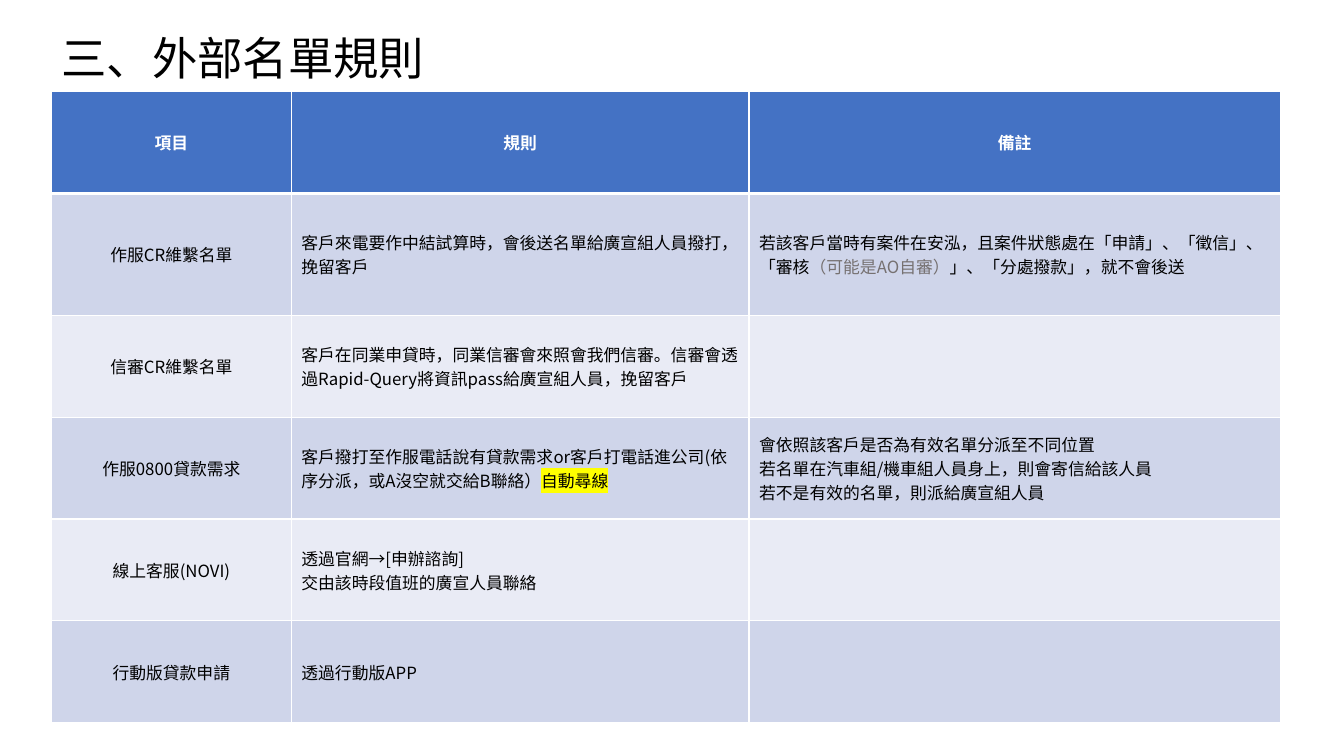
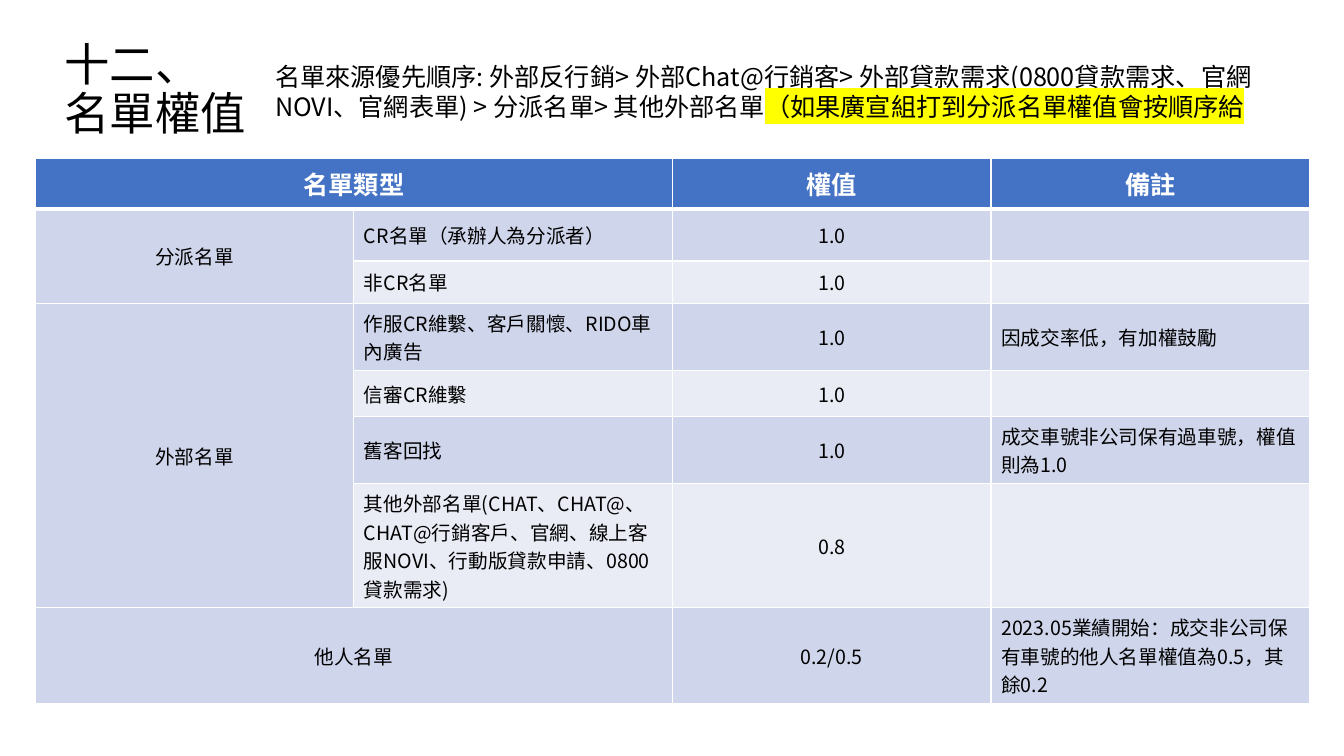
from lxml import etree
from pptx import Presentation
from pptx.dml.color import RGBColor
from pptx.enum.text import MSO_ANCHOR, PP_ALIGN
from pptx.oxml.ns import qn
from pptx.util import Inches, Pt

MIDDLE, TOP = MSO_ANCHOR.MIDDLE, MSO_ANCHOR.TOP
CENTER, LEFT = PP_ALIGN.CENTER, PP_ALIGN.LEFT

SANS, SANS_TC = "Noto Sans CJK SC", "Noto Sans CJK TC"
BLACK, WHITE, GREY, YELLOW = "000000", "FFFFFF", "767171", "FFFF00"
HEAD, BANDS = "4472C4", ("E9EBF5", "CFD5EA")
MARK = {"mark": YELLOW}
SOFT = {"color": GREY}

RULES = [
    ["項目", "規則", "備註"],
    ["作服CR維繫名單",
     "客戶來電要作中結試算時，會後送名單給廣宣組人員撥打，挽留客戶",
     [("若該客戶當時有案件在安泓，且案件狀態處在「申請」、「徵信」、「審核", {}),
      ("（可能是AO自審）", SOFT),
      ("」、「分處撥款」，就不會後送", {})]],
    ["信審CR維繫名單",
     "客戶在同業申貸時，同業信審會來照會我們信審。信審會透過Rapid-Query將資訊pass給廣宣組人員，挽留客戶",
     ""],
    ["作服0800貸款需求",
     [("客戶撥打至作服電話說有貸款需求or客戶打電話進公司(依序分派，或A沒空就交給B聯絡）", {}),
      ("自動尋線", MARK)],
     "會依照該客戶是否為有效名單分派至不同位置\n"
     "若名單在汽車組/機車組人員身上，則會寄信給該人員\n"
     "若不是有效的名單，則派給廣宣組人員"],
    ["線上客服(NOVI)", "透過官網→[申辦諮詢]\n交由該時段值班的廣宣人員聯絡", ""],
    ["行動版貸款申請", "透過行動版APP", ""],
]

WEIGHTS = [
    ["名單類型", "", "權值", "備註"],
    ["分派名單", "CR名單（承辦人為分派者）", "1.0", ""],
    ["", "非CR名單", "1.0", ""],
    ["外部名單", "作服CR維繫、客戶關懷、RIDO車內廣告", "1.0", "因成交率低，有加權鼓勵"],
    ["", "信審CR維繫", "1.0", ""],
    ["", "舊客回找", "1.0", "成交車號非公司保有過車號，權值則為1.0"],
    ["", "其他外部名單(CHAT、CHAT@、CHAT@行銷客戶、官網、線上客服NOVI、行動版貸款申請、0800貸款需求)",
     "0.8", ""],
    ["他人名單", "", "0.2/0.5", "2023.05業績開始：成交非公司保有車號的他人名單權值為0.5，其餘0.2"],
]
# first row, first column, last row, last column
SPANS = [(0, 0, 0, 1), (1, 0, 2, 0), (3, 0, 6, 0), (7, 0, 7, 1)]

ORDER = [
    ("名單來源優先順序: 外部反行銷> 外部Chat@行銷客> 外部貸款需求(0800貸款需求、官網NOVI、官網表單) > 分派名單> 其他外部名單", {}),
    ("（如果廣宣組打到分派名單權值會按順序給", MARK),
]


def rgb(code):
    return RGBColor.from_string(code)


def add_run(para, text, size, color=BLACK, bold=False, mark=None, face=SANS):
    run = para.add_run()
    run.text = text
    font = run.font
    font.size, font.bold, font.name = Pt(size), bold, face
    font.color.rgb = rgb(color)
    props = font._element
    latin = props.find(qn("a:latin"))
    east = etree.Element(qn("a:ea"), typeface=face)
    latin.addnext(east)
    if mark:
        light = etree.Element(qn("a:highlight"))
        etree.SubElement(light, qn("a:srgbClr"), val=mark)
        latin.addprevious(light)


def write(frame, text, align=LEFT, space=None, **style):
    """Fill a frame from a string or (text, style) runs; newlines start paragraphs."""
    runs = [(text, {})] if isinstance(text, str) else text
    para = frame.paragraphs[0]
    para.alignment, para.line_spacing = align, space
    for words, extra in runs:
        for num, part in enumerate(words.split("\n")):
            if num:
                para = frame.add_paragraph()
                para.alignment, para.line_spacing = align, space
            add_run(para, part, **{**style, **extra})


def add_text(slide, box, text, anchor=TOP, **style):
    frame = slide.shapes.add_textbox(*map(Inches, box)).text_frame
    frame.word_wrap = True
    frame.vertical_anchor = anchor
    write(frame, text, **style)


def add_title(slide, box, text):
    add_text(slide, box, text, anchor=MIDDLE, size=32.4, space=0.9)


def set_edges(cell, row):
    props = cell._tc.get_or_add_tcPr()
    wide = {0: "B", 1: "T"}.get(row)
    for side in "LRTB":
        width = Pt(3 if side == wide else 1)
        line = etree.SubElement(props, qn("a:ln" + side), w=str(width))
        fill = etree.SubElement(line, qn("a:solidFill"))
        etree.SubElement(fill, qn("a:srgbClr"), val=WHITE)


def add_grid(slide, spot, cols, rows, data, mids, sizes, spans=()):
    """mids: centred columns; sizes: head and body text size."""
    box = (*spot, sum(cols), sum(rows))
    table = slide.shapes.add_table(len(rows), len(cols), *map(Inches, box)).table
    table.first_row = table.horz_banding = False
    for col, width in zip(table.columns, cols):
        col.width = Inches(width)
    for row, height in zip(table.rows, rows):
        row.height = Inches(height)
    merged = {(top, left) for top, left, _, _ in spans}
    for r, line in enumerate(data):
        top = r == 0
        for c, text in enumerate(line):
            cell = table.cell(r, c)
            set_edges(cell, r)
            cell.fill.solid()
            cell.fill.fore_color.rgb = rgb(HEAD if top else BANDS[r % 2])
            cell.vertical_anchor = MIDDLE
            mid = top or c in mids or (r, c) in merged
            write(cell.text_frame, text, CENTER if mid else LEFT,
                  size=sizes[0 if top else 1], bold=top,
                  color=WHITE if top else BLACK)
    for r1, c1, r2, c2 in spans:
        table.cell(r1, c1).merge(table.cell(r2, c2))


def main():
    deck = Presentation()
    deck.slide_width, deck.slide_height = Inches(13.33), Inches(7.5)
    blank = deck.slide_layouts[6]

    slide = deck.slides.add_slide(blank)
    add_title(slide, (0.51, 0.29, 7.55, 0.62), "三、外部名單規則")
    add_grid(slide, (0.51, 0.91), [2.38, 4.54, 5.27],
             [1.01, 1.21] + [1.01] * 4, RULES, {0}, (12, 12))

    slide = deck.slides.add_slide(blank)
    add_title(slide, (0.54, 0.6, 3.39, 0.62), "十二、\n名單權值")
    add_grid(slide, (0.35, 1.57), [3.16] * 4,
             [0.5, 0.52, 0.42, 0.67, 0.45, 0.67, 1.23, 0.95],
             WEIGHTS, {0, 2}, (18, 14), SPANS)
    add_text(slide, (2.63, 0.56, 10.54, 0.71), ORDER, size=18, face=SANS_TC)

    deck.save("out.pptx")


if __name__ == "__main__":
    main()
